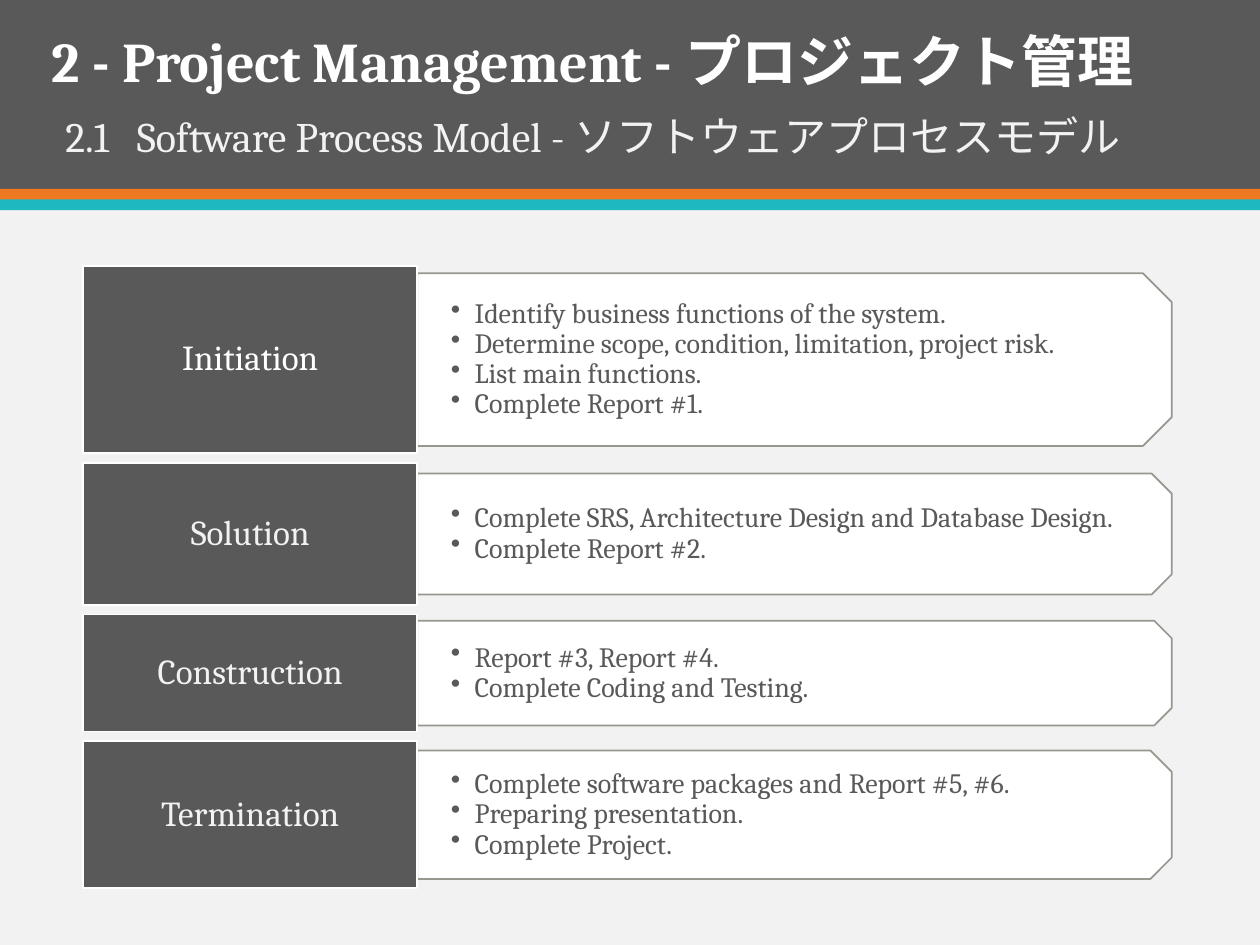
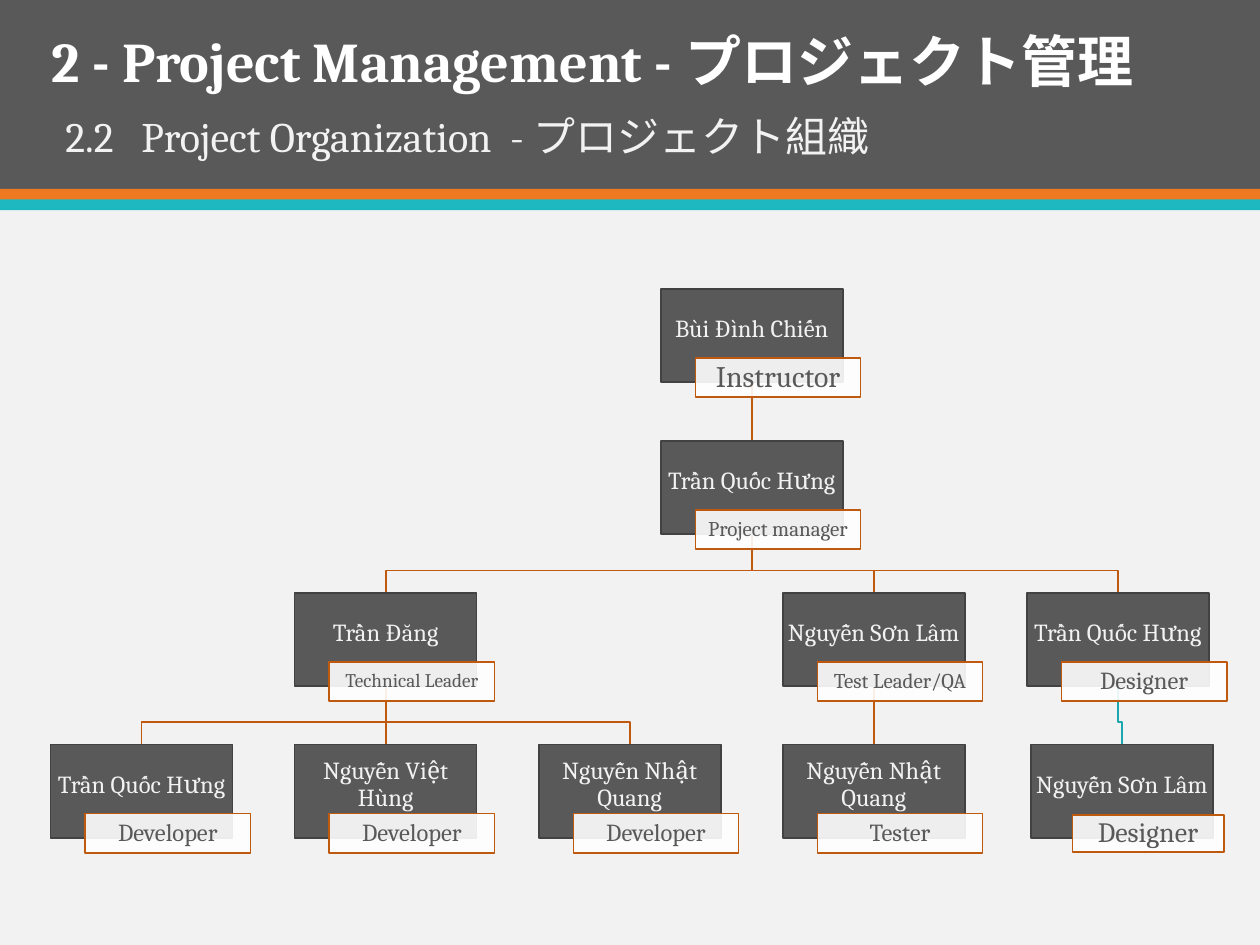
"""Build two project management slides: the process model and the team organization."""
from dataclasses import dataclass

from lxml import etree
from pptx import Presentation
from pptx.dml.color import RGBColor
from pptx.enum import shapes, text
from pptx.oxml.ns import qn
from pptx.util import Cm, Pt


@dataclass(frozen=True)
class Theme:
    """Colours, font and type sizes of the deck."""
    font: str = "Cambria"
    dark: str = "595959"
    edge: str = "424242"
    pale: str = "F2F2F2"
    white: str = "FFFFFF"
    orange: str = "EF7920"
    teal: str = "1EB8C1"
    panel_edge: str = "969890"
    link: str = "BE590E"
    teal_link: str = "1BA7AF"
    title: int = 32
    subtitle: int = 24
    phase: int = 20
    task: int = 16
    member: int = 14


THEME = Theme()
HEADING = "2 - Project Management - プロジェクト管理"
SLIDE_WIDTH, SLIDE_HEIGHT = 25.4, 19.05

BANDS = [
    (0, 3.81, THEME.dark),
    (3.81, 0.22, THEME.orange),
    (4.02, 0.22, THEME.teal),
]

PHASES = [
    ("Initiation", THEME.white, 3.78, 3.48, [
        "Identify business functions of the system.",
        "Determine scope, condition, limitation, project risk.",
        "List main functions.",
        "Complete Report #1."]),
    ("Solution", THEME.pale, 2.87, 2.44, [
        "Complete SRS, Architecture Design and Database Design.",
        "Complete Report #2."]),
    ("Construction", THEME.pale, 2.36, 2.11, [
        "Report #3, Report #4.",
        "Complete Coding and Testing."]),
    ("Termination", THEME.pale, 2.97, 2.59, [
        "Complete software packages and Report #5, #6.",
        "Preparing presentation.",
        "Complete Project."]),
]

PHASE_LEFT, PHASE_TOP, PHASE_WIDTH, PHASE_GAP = 1.68, 5.36, 6.73, 0.19
PANEL_WIDTH, TASKS_WIDTH = 15.21, 15.01

CARD_WIDTH, CARD_HEIGHT = 3.67, 1.88
COLUMN_LEFT, COLUMN_STEP = 1.02, 4.92
LEVEL_TOP, LEVEL_STEP = 5.83, 3.06
LINK_BEND = 0.73


@dataclass(frozen=True)
class Member:
    """One person in the organization chart, placed by column and level."""
    name: str
    role: str
    column: float
    level: int
    boss: int | None = None
    role_size: int = 14
    shift: float = 0
    tag: tuple = (0.7, 1.39, 3.33, 0.79)
    link: str = THEME.link

    @property
    def left(self):
        """Left edge of the card."""
        return COLUMN_LEFT + self.column * COLUMN_STEP + self.shift

    @property
    def top(self):
        """Top edge of the card."""
        return LEVEL_TOP + self.level * LEVEL_STEP

    @property
    def center(self):
        """Horizontal middle of the card."""
        return self.left + CARD_WIDTH / 2


MEMBERS = [
    Member("Bùi Đình Chiến", "Instructor", 2.5, 0, role_size=17),
    Member("Trần Quốc Hưng", "Project manager", 2.5, 1, 0, 12),
    Member("Trần Đăng", "Technical Leader", 1, 2, 1, 11),
    Member("Trần Quốc Hưng", "Developer", 0, 3, 2),
    Member("Nguyễn Việt Hùng", "Developer", 1, 3, 2),
    Member("Nguyễn Nhật Quang", "Developer", 2, 3, 2),
    Member("Nguyễn Sơn Lâm", "Test Leader/QA", 3, 2, 1, 12),
    Member("Nguyễn Nhật Quang", "Tester", 3, 3, 6),
    Member("Trần Quốc Hưng", "Designer", 4, 2, 1),
    Member("Nguyễn Sơn Lâm", "Designer", 4, 3, 8, 16, 0.08,
           (0.84, 1.42, 3.05, 0.74), THEME.teal_link),
]


def rgb(color):
    """Turn a hex string into a colour."""
    return RGBColor.from_string(color)


def set_frame(frame, insets, anchor=text.MSO_ANCHOR.MIDDLE):
    """Set wrapping, anchor and insets (left, top, right, bottom)."""
    frame.word_wrap = True
    frame.auto_size = text.MSO_AUTO_SIZE.NONE
    frame.vertical_anchor = anchor
    frame.margin_left, frame.margin_top, frame.margin_right, frame.margin_bottom = map(Cm, insets)


def style_paragraph(paragraph, size, color, align=text.PP_ALIGN.LEFT, spacing=0.9, bold=False):
    """Set the font, alignment and line spacing of a paragraph."""
    paragraph.alignment = align
    paragraph.line_spacing = spacing
    font = paragraph.font
    font.name, font.size, font.bold = THEME.font, Pt(size), bold
    font.color.rgb = rgb(color)


def add_box(slide, box, fill, line=None, kind=shapes.MSO_SHAPE.RECTANGLE):
    """Add a flat preset shape at box (left, top, width, height)."""
    shape = slide.shapes.add_shape(kind, *map(Cm, box))
    shape.shadow.inherit = False
    shape.fill.solid()
    shape.fill.fore_color.rgb = rgb(fill)
    if line:
        shape.line.color.rgb = rgb(line)
        shape.line.width = Pt(1)
    else:
        shape.line.fill.background()
    return shape


def add_label(shape, words, size, color, insets):
    """Write one centred line of text in a shape."""
    set_frame(shape.text_frame, insets)
    paragraph = shape.text_frame.paragraphs[0]
    paragraph.text = words
    style_paragraph(paragraph, size, color, text.PP_ALIGN.CENTER)


def add_bands(slide):
    """Put the header bands on the layout that the slides share."""
    layout_tree = slide.slide_layout.shapes.element
    for index, (top, height, color) in enumerate(BANDS):
        band = add_box(slide, (0, top, SLIDE_WIDTH, height), color).element
        band.nvSpPr.cNvPr.set("id", str(101 + index))
        layout_tree.insert(2 + index, band)


def add_headings(slide, section):
    """Fill the title placeholder and add the section line."""
    title = slide.shapes.title
    title.left, title.top, title.width, title.height = map(Cm, (0.79, 0.41, 24.61, 1.63))
    section_box = slide.shapes.add_textbox(*map(Cm, (1.07, 2.21, 24.33, 1.32)))
    for holder, words, size, color, spacing, bold in (
            (title, HEADING, THEME.title, THEME.white, 1.0, True),
            (section_box, section, THEME.subtitle, THEME.pale, 0.9, False)):
        set_frame(holder.text_frame, (0.25, 0.13, 0.25, 0.13), text.MSO_ANCHOR.TOP)
        paragraph = holder.text_frame.paragraphs[0]
        paragraph.text = words
        style_paragraph(paragraph, size, color, spacing=spacing, bold=bold)


def add_bullet(paragraph):
    """Give a paragraph a hanging round bullet."""
    properties = paragraph._p.get_or_add_pPr()
    properties.set("marL", str(Cm(0.48)))
    properties.set("indent", str(-Cm(0.48)))
    etree.SubElement(properties, qn("a:buChar")).set("char", "•")


def add_tasks(slide, box, tasks):
    """Add the bulleted task list of a phase."""
    frame = slide.shapes.add_textbox(*map(Cm, box)).text_frame
    set_frame(frame, (0.68, 0.36, 0.68, 0.36))
    for index, task in enumerate(tasks):
        paragraph = frame.add_paragraph() if index else frame.paragraphs[0]
        paragraph.text = task
        add_bullet(paragraph)
        style_paragraph(paragraph, THEME.task, THEME.dark)


def add_phases(slide):
    """Stack the phases, each a dark block with a snipped task panel."""
    top, panel_left = PHASE_TOP, PHASE_LEFT + PHASE_WIDTH
    for name, color, height, panel_height, tasks in PHASES:
        middle = top + height / 2
        upright = (panel_left + (PANEL_WIDTH - panel_height) / 2,
                   middle - PANEL_WIDTH / 2, panel_height, PANEL_WIDTH)
        panel = add_box(slide, upright, THEME.white, THEME.panel_edge,
                        shapes.MSO_SHAPE.SNIP_2_SAME_RECTANGLE)
        panel.rotation = 90
        add_tasks(slide, (panel_left, middle - panel_height / 2, TASKS_WIDTH, panel_height), tasks)
        block = add_box(slide, (PHASE_LEFT, top, PHASE_WIDTH, height), THEME.dark, THEME.white)
        add_label(block, name, THEME.phase, color, (0.2, 0.1, 0.2, 0.1))
        top += height + PHASE_GAP


def add_link(slide, boss, member):
    """Join a card to the one above it, with a bend when they are not aligned."""
    start, end = boss.top + CARD_HEIGHT, member.top
    if boss.center == member.center:
        link = slide.shapes.add_connector(
            shapes.MSO_CONNECTOR.STRAIGHT,
            *map(Cm, (boss.center, start, member.center, end)))
        etree.SubElement(link.element.spPr, qn("a:effectLst"))
    else:
        bend = start + LINK_BEND
        outline = slide.shapes.build_freeform(Cm(boss.center), Cm(start))
        corners = [(boss.center, bend), (member.center, bend), (member.center, end)]
        outline.add_line_segments([(Cm(x), Cm(y)) for x, y in corners], close=False)
        link = outline.convert_to_shape()
        link.shadow.inherit = False
        link.fill.background()
    link.line.color.rgb = rgb(member.link)
    link.line.width = Pt(1)


def add_member(slide, member):
    """Add a name card and its translucent role tag."""
    card = add_box(slide, (member.left, member.top, CARD_WIDTH, CARD_HEIGHT),
                   THEME.dark, THEME.edge)
    add_label(card, member.name, THEME.member, THEME.pale, (0.02, 0.02, 0.02, 0.26))
    right, down, width, height = member.tag
    tag = add_box(slide, (member.left + right, member.top + down, width, height),
                  THEME.white, THEME.link)
    tint = tag.element.spPr.find(qn("a:solidFill")).find(qn("a:srgbClr"))
    etree.SubElement(tint, qn("a:alpha")).set("val", "90000")
    add_label(tag, member.role, member.role_size, THEME.dark, (0.09, 0.02, 0.09, 0.02))


def add_organization(slide):
    """Draw the links, then the cards over them."""
    for member in MEMBERS:
        if member.boss is not None:
            add_link(slide, MEMBERS[member.boss], member)
    for member in MEMBERS:
        add_member(slide, member)


def main():
    """Build and save the deck."""
    deck = Presentation()
    deck.slide_width, deck.slide_height = Cm(SLIDE_WIDTH), Cm(SLIDE_HEIGHT)
    backdrop = deck.slide_master.background.fill
    backdrop.solid()
    backdrop.fore_color.rgb = rgb(THEME.pale)
    title_only = deck.slide_layouts[5]

    process = deck.slides.add_slide(title_only)
    add_bands(process)
    add_phases(process)
    add_headings(process, "2.1   Software Process Model - ソフトウェアプロセスモデル")

    organization = deck.slides.add_slide(title_only)
    add_organization(organization)
    add_headings(organization, "2.2   Project Organization  - プロジェクト組織")

    deck.save("out.pptx")


main()
